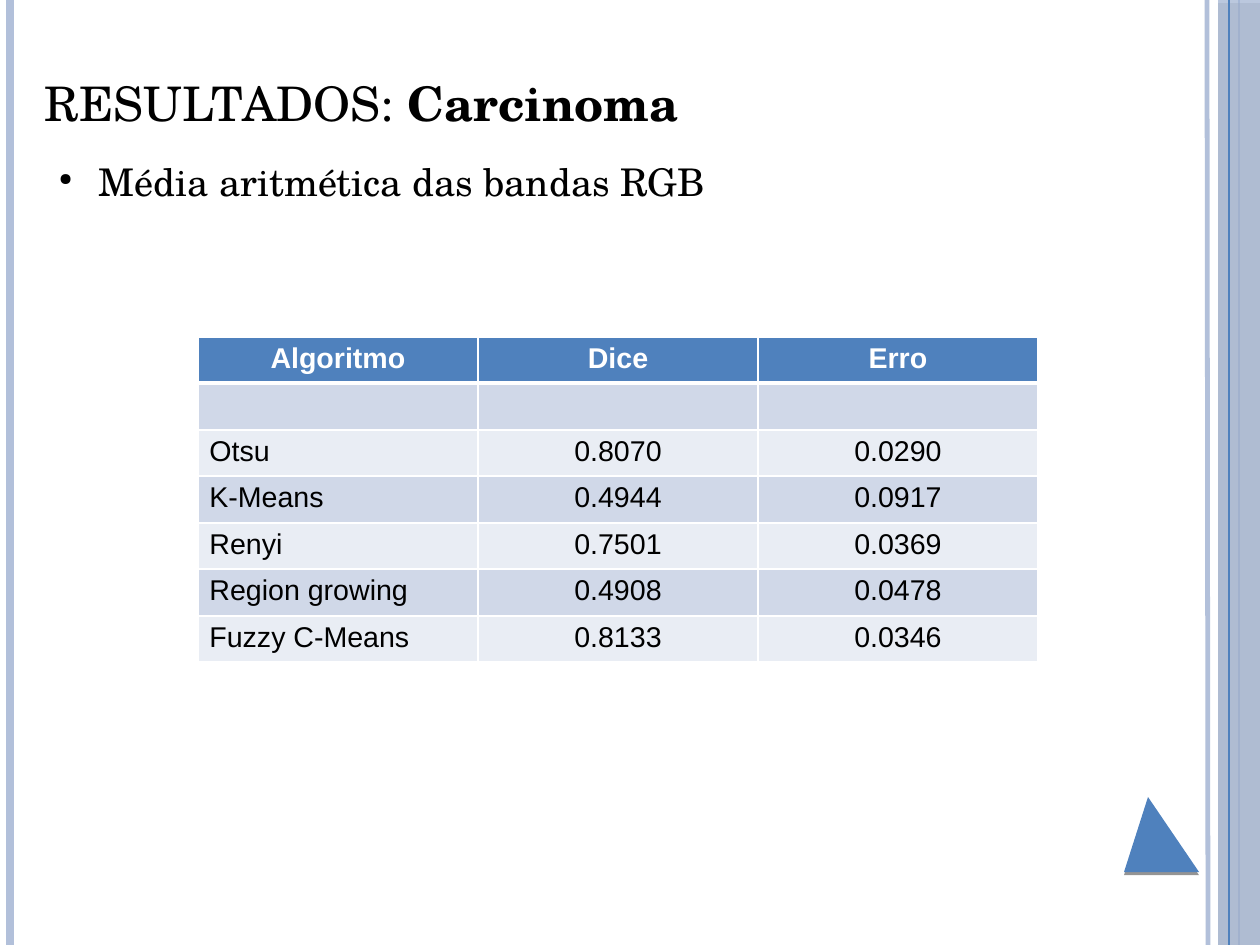
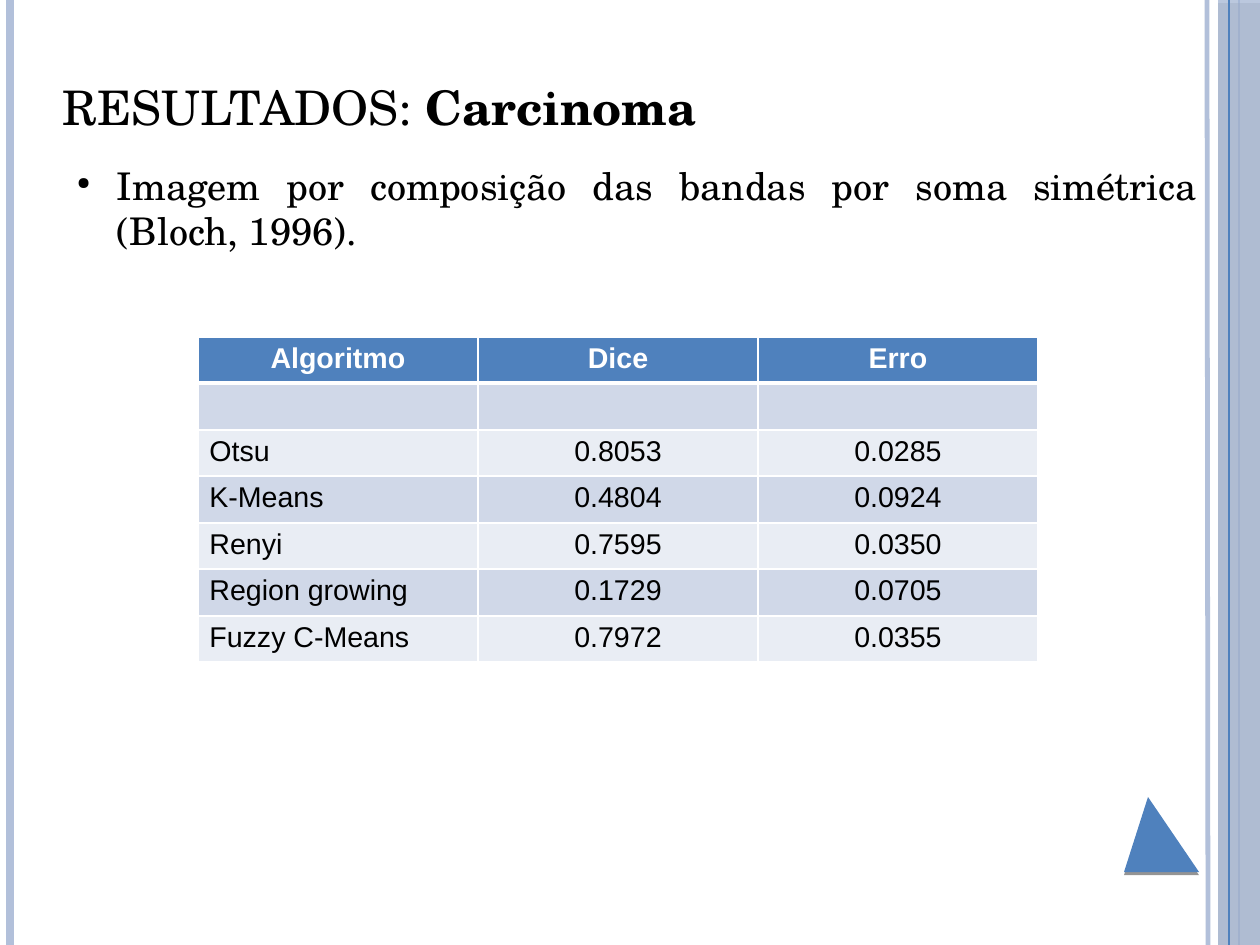
"""Builds two result slides, each with a heading, a bullet and a table of segmentation scores."""
from dataclasses import dataclass

from lxml.etree import SubElement
from pptx import Presentation
from pptx.dml.color import RGBColor
from pptx.enum.shapes import MSO_CONNECTOR as Connector, MSO_SHAPE as Shape
from pptx.enum.text import MSO_ANCHOR as Anchor, PP_ALIGN as Align
from pptx.oxml.ns import qn
from pptx.util import Emu, Pt


@dataclass(frozen=True)
class Theme:
    """Colours, fonts and type sizes of the deck."""
    ink: str = "000000"
    paper: str = "FFFFFF"
    accent: str = "4F81BD"
    stripe: str = "B2C0DA"
    row_dark: str = "D0D8E8"
    row_light: str = "E9EDF4"
    heading_font: str = "TeX Gyre Schola"
    table_font: str = "Arial"
    title_size: int = 30
    body_size: int = 24
    table_size: int = 18


def px(length):
    """Turns picture pixels into EMU."""
    return Emu(length * 8000)


def assign(target, values):
    """Sets every attribute named in the dict."""
    for name, value in values.items():
        setattr(target, name, value)


def add_node(parent, tag, **attributes):
    """Appends an XML element with the given attributes."""
    return SubElement(parent, qn(tag), {key: str(value) for key, value in attributes.items()})


class SlideBuilder:
    """Holds the theme and the current slide, and draws each kind of element."""

    WIDTH, HEIGHT = 1260, 945

    def __init__(self, theme):
        """Starts an empty deck."""
        self.theme = theme
        self.deck = Presentation()
        assign(self.deck, {"slide_width": px(self.WIDTH), "slide_height": px(self.HEIGHT)})
        self.page = None

    def new_page(self):
        """Adds a blank page with the shared side bands and corner triangle."""
        self.page = self.deck.slides.add_slide(self.deck.slide_layouts[6])
        theme = self.theme
        self.rule(1207, 1208, theme.stripe, 3)
        self.rule(10, 10, theme.stripe, 4.5)
        self.rule(1239, 1239, theme.accent, 1.5)
        self.side_band(1218, 42)
        self.rule(1229, 1229, theme.accent, 0.75)
        self.triangle((1124, 872), (1199, 872), (1148, 797))

    def rule(self, top_x, bottom_x, colour, weight):
        """Draws a line from the top to the bottom of the page."""
        line = self.page.shapes.add_connector(
            Connector.STRAIGHT, px(top_x), 0, px(bottom_x), px(self.HEIGHT))
        line.line.width = Pt(weight)
        line.line.color.rgb = RGBColor.from_string(colour)
        add_node(line._element.spPr, "a:effectLst")

    def paint(self, shape, colour):
        """Gives a shape a plain fill, no outline and a short shadow below."""
        shape.fill.solid()
        shape.fill.fore_color.rgb = RGBColor.from_string(colour)
        shape.line.fill.background()
        shape.shadow.inherit = False
        effects = shape._element.spPr.find(qn("a:effectLst"))
        shadow = add_node(effects, "a:outerShdw", blurRad=0, dist=Pt(2), dir=5400000,
                          rotWithShape=0)
        add_node(add_node(shadow, "a:srgbClr", val=self.theme.ink), "a:alpha", val=41000)

    def side_band(self, left, width):
        """Draws the translucent band at the right edge."""
        band = self.page.shapes.add_shape(
            Shape.RECTANGLE, px(left), 0, px(width), px(self.HEIGHT))
        self.paint(band, self.theme.stripe)
        colour = band._element.spPr.find(qn("a:solidFill"))[0]
        add_node(colour, "a:alpha", val=87000)

    def triangle(self, start, *corners):
        """Draws a filled triangle through the given corners."""
        outline = self.page.shapes.build_freeform(*start, scale=px(1))
        outline.add_line_segments(corners, close=True)
        self.paint(outline.convert_to_shape(), self.theme.accent)

    def add_span(self, para, text, font, size, colour, bold=False):
        """Adds one formatted span to a paragraph."""
        span = para.add_run()
        span.text = text
        assign(span.font, {"name": font, "size": Pt(size), "bold": bold})
        span.font.color.rgb = RGBColor.from_string(colour)

    def text_box(self, left, top, anchor):
        """Adds a wrapped box without insets and returns its first paragraph."""
        box = self.page.shapes.add_textbox(px(left), px(top), px(1134), px(158))
        assign(box.text_frame, {
            "word_wrap": True, "vertical_anchor": anchor, "margin_left": 0,
            "margin_right": 0, "margin_top": 0, "margin_bottom": 0})
        return box.text_frame.paragraphs[0]

    def title(self, left, top, plain, strong):
        """Sets the heading, its last part in bold."""
        para = self.text_box(left, top, Anchor.MIDDLE)
        theme = self.theme
        for text, bold in ((plain, False), (strong, True)):
            self.add_span(para, text, theme.heading_font, theme.title_size, theme.ink, bold)

    def bullet(self, left, top, text):
        """Sets a justified paragraph with a small round bullet."""
        para = self.text_box(left, top, Anchor.TOP)
        para.alignment = Align.JUSTIFY
        theme = self.theme
        self.add_span(para, text, theme.heading_font, theme.body_size, theme.ink)
        layout = para._p.get_or_add_pPr()
        layout.set("marL", str(px(54)))
        layout.set("indent", str(px(-40)))
        add_node(add_node(layout, "a:buClr"), "a:srgbClr", val=theme.ink)
        add_node(layout, "a:buSzPct", val=45000)
        add_node(layout, "a:buChar", char="●")

    def borders(self, cell, weights):
        """Outlines a cell, with one line weight for each side."""
        properties = cell._tc.get_or_add_tcPr()
        for side, weight in weights.items():
            edge = add_node(properties, f"a:ln{side}", w=Pt(weight))
            add_node(add_node(edge, "a:solidFill"), "a:srgbClr", val=self.theme.paper)

    def table(self, left, top, column_width, height, rows):
        """Draws a striped table under a bold header row."""
        theme = self.theme
        count, columns = len(rows), len(rows[0])
        grid = self.page.shapes.add_table(
            count, columns, px(left), px(top), px(column_width * columns), px(height)).table
        grid.horz_banding = False
        for column in grid.columns:
            column.width = px(column_width)
        edges = [round(height * index / count) for index in range(count + 1)]
        for index, values in enumerate(rows):
            grid.rows[index].height = px(edges[index + 1] - edges[index])
            header = index == 0
            stripe = theme.row_dark if index % 2 else theme.row_light
            fill = theme.accent if header else stripe
            weights = {"L": 1, "R": 1, "T": 3 if index == 1 else 1, "B": 3 if header else 1}
            for position, value in enumerate(values):
                cell = grid.cell(index, position)
                self.borders(cell, weights)
                cell.fill.solid()
                cell.fill.fore_color.rgb = RGBColor.from_string(fill)
                para = cell.text_frame.paragraphs[0]
                para.alignment = Align.CENTER if header or position else Align.LEFT
                if value:
                    self.add_span(para, value, theme.table_font, theme.table_size,
                                  theme.paper if header else theme.ink, header)


HEADER = ("Algoritmo", "Dice", "Erro")
ALGORITHMS = ("Otsu", "K-Means", "Renyi", "Region growing", "Fuzzy C-Means")
RESULTS = (
    {"left": 45, "top": 23, "method": "Média aritmética das bandas RGB",
     "dice": ("0.8070", "0.4944", "0.7501", "0.4908", "0.8133"),
     "error": ("0.0290", "0.0917", "0.0369", "0.0478", "0.0346")},
    {"left": 63, "top": 27,
     "method": "Imagem por composição das bandas por soma simétrica (Bloch, 1996).",
     "dice": ("0.8053", "0.4804", "0.7595", "0.1729", "0.7972"),
     "error": ("0.0285", "0.0924", "0.0350", "0.0705", "0.0355")},
)

builder = SlideBuilder(Theme())
for result in RESULTS:
    builder.new_page()
    builder.title(result["left"], result["top"], "RESULTADOS: ", "Carcinoma")
    builder.bullet(result["left"], result["top"] + 135, result["method"])
    scores = zip(ALGORITHMS, result["dice"], result["error"])
    builder.table(198, 337, 280, 325, [HEADER, ("", "", ""), *scores])
builder.deck.save("out.pptx")
